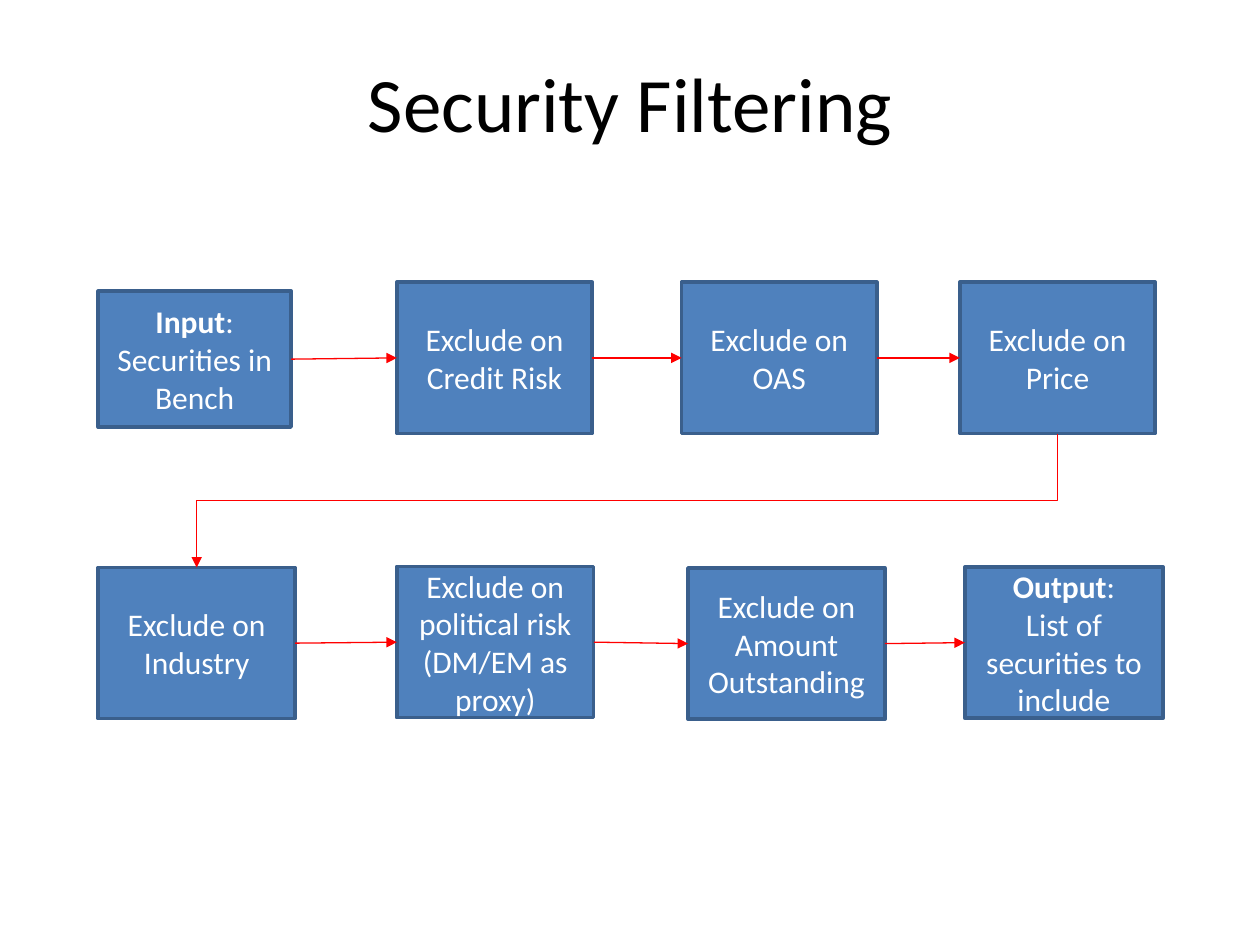
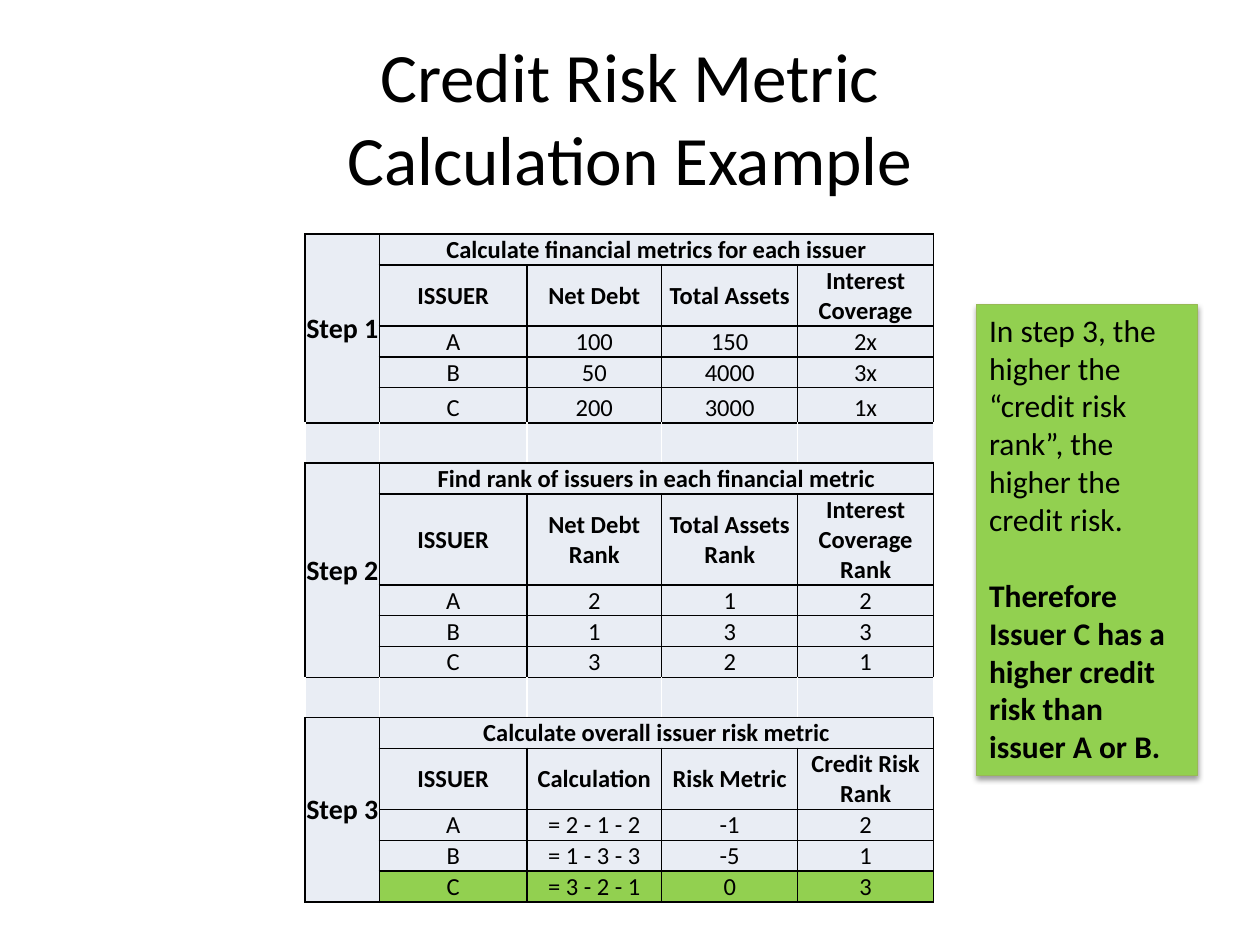
from lxml import etree
from pptx import Presentation
from pptx.dml.color import RGBColor
from pptx.enum import shapes, text
from pptx.oxml import ns
from pptx.util import Cm, Pt

FONT = "Calibri"
BLACK, WHITE, RED = "000000", "FFFFFF", "FF0000"
BLUE, NAVY, PALE = "4F81BD", "3A5F8C", "E9EDF4"
GREEN, MOSS = "92D050", "98B955"
MID = text.MSO_ANCHOR.MIDDLE
LOW = text.MSO_ANCHOR.BOTTOM
MAIN = text.PP_ALIGN.CENTER
LEFT = text.PP_ALIGN.LEFT

TOP = [
    (1.98, 5.87, 3.89, 2.74, [[("Input", True), (":", False)],
                              [("Securities in Bench", False)]]),
    (8, 5.69, 3.94, 3.05, [[("Exclude on Credit Risk", False)]]),
    (13.74, 5.69, 3.94, 3.05, [[("Exclude on OAS", False)]]),
    (19.35, 5.69, 3.94, 3.05, [[("Exclude on Price", False)]]),
]
BASE = [
    (1.98, 11.44, 3.97, 3.05, [[("Exclude on Industry", False)]]),
    (8, 11.42, 3.97, 3.05,
     [[("Exclude on political risk (DM/EM as proxy)", False)]]),
    (13.87, 11.45, 3.97, 3.05, [[("Exclude on Amount Outstanding", False)]]),
    (19.45, 11.43, 4, 3.05, [[("Output", True), (":", False)],
                             [("List of securities to include", False)]]),
]
COLS = [1.5, 2.97, 2.72, 2.74, 2.74]
STEPS = [
    ("Step 1", "Calculate financial metrics for each issuer",
     ["ISSUER", "Net Debt", "Total Assets", "Interest Coverage"],
     [["A", "100", "150", "2x"], ["B", "50", "4000", "3x"],
      ["C", "200", "3000", "1x"]],
     [0.62, 1.23, 0.62, 0.62, 0.71]),
    ("Step 2", "Find rank of issuers in each financial metric",
     ["ISSUER", "Net Debt Rank", "Total Assets Rank",
      "Interest Coverage Rank"],
     [["A", "2", "1", "2"], ["B", "1", "3", "3"], ["C", "3", "2", "1"]],
     [0.62, 1.83, 0.62, 0.62, 0.62]),
    ("Step 3", "Calculate overall issuer risk metric",
     ["ISSUER", "Calculation", "Risk Metric", "Credit Risk Rank"],
     [["A", "= 2 - 1 - 2", "-1", "2"], ["B", "= 1 - 3 - 3", "-5", "1"],
      ["C", "= 3 - 2 - 1", "0", "3"]],
     [0.62, 1.23, 0.62, 0.62, 0.62]),
]
GAP = 0.81


def tint(code):
    """Turn a hex string into a colour."""
    return RGBColor.from_string(code)


def put(item, **vals):
    """Set the given format values on an item."""
    for name, val in vals.items():
        setattr(item, name, val)


def node(root, tag, **vals):
    """Add an XML child with attributes and return it."""
    return etree.SubElement(root, ns.qn(tag), vals)


def write(frame, paras, size, code, align, gap=0):
    """Fill a text frame with paragraphs of (text, bold) runs."""
    for i, runs in enumerate(paras):
        para = frame.add_paragraph() if i else frame.paragraphs[0]
        put(para, alignment=align, space_before=Pt(gap if i else 0))
        for words, bold in runs:
            run = para.add_run()
            run.text = words
            put(run.font, name=FONT, size=Pt(size), bold=bold)
            run.font.color.rgb = tint(code)


def page(deck, words, size, x, y, wide):
    """Add a slide with a centred title."""
    slide = deck.slides.add_slide(deck.slide_layouts[5])
    head = slide.shapes.title
    put(head, left=Cm(x), top=Cm(y), width=Cm(wide), height=Cm(3.18))
    head.text_frame.text = words
    put(head.text_frame, auto_size=text.MSO_AUTO_SIZE.NONE,
        vertical_anchor=MID)
    para = head.text_frame.paragraphs[0]
    para.alignment = MAIN
    put(para.font, name=FONT, size=Pt(size))
    for run in para.runs:
        put(run.font, name=FONT, size=Pt(size))
        run.font.color.rgb = tint(BLACK)
    return slide


def rect(slide, x, y, wide, tall, fill, edge, thick):
    """Add a plain rectangle without a shadow."""
    box = slide.shapes.add_shape(shapes.MSO_SHAPE.RECTANGLE,
                                 Cm(x), Cm(y), Cm(wide), Cm(tall))
    box.shadow.inherit = False
    box.fill.solid()
    box.fill.fore_color.rgb = tint(fill)
    box.line.color.rgb = tint(edge)
    box.line.width = Pt(thick)
    box.text_frame.word_wrap = True
    return box


def stage(slide, x, y, wide, tall, paras):
    """Add one stage of the filter flow."""
    box = rect(slide, x, y, wide, tall, BLUE, NAVY, 2)
    box.text_frame.vertical_anchor = MID
    write(box.text_frame, paras, 18, WHITE, MAIN)
    return box


def arrow(slide, kind, start, out, end, into):
    """Join two boxes at the given sites with a red arrow."""
    line = slide.shapes.add_connector(kind, 0, 0, 0, 0)
    line.begin_connect(start, out)
    line.end_connect(end, into)
    line.line.color.rgb = tint(RED)
    line.line.width = Pt(0.75)
    node(line.line._get_or_add_ln(), "a:tailEnd", type="triangle")
    node(line._element.spPr, "a:effectLst")
    return line


def turn(line):
    """Rotate an elbow so that it leaves its box downwards."""
    x, y, wide, tall = line.left, line.top, line.width, line.height
    put(line, left=x + (wide - tall) // 2, top=y + (tall - wide) // 2,
        width=tall, height=wide)
    frame = line._element.spPr.xfrm
    put(frame, flipH=False, rot=90.0)


def flow(slide):
    """Draw both rows of stages and their arrows."""
    rows = [[stage(slide, *item) for item in row] for row in (TOP, BASE)]
    kind = shapes.MSO_CONNECTOR
    for row in rows:
        for start, end in zip(row, row[1:]):
            arrow(slide, kind.STRAIGHT, start, 3, end, 1)
    turn(arrow(slide, kind.ELBOW, rows[0][-1], 2, rows[1][0], 0))


def style(cell, fill, sides):
    """Give a cell its margins, borders and fill."""
    put(cell, margin_left=Cm(0.02), margin_right=Cm(0.02),
        margin_top=Cm(0.02), margin_bottom=0)
    prop = cell._tc.get_or_add_tcPr()
    for side in "LRTB":
        edge = node(prop, "a:ln" + side, w=str(Pt(1)))
        paint = node(edge, "a:solidFill")
        node(paint, "a:srgbClr", val=sides if side in "LR" else BLACK)
    cell.fill.solid()
    cell.fill.fore_color.rgb = tint(fill)


def label(cell, words, size, bold, anchor):
    """Write centred text into a cell."""
    cell.vertical_anchor = anchor
    write(cell.text_frame, [[(words, bold)]], size, BLACK, MAIN)


def block(grid, top, name, title, heads, rows):
    """Fill the five table rows of one step."""
    grid.cell(top, 0).merge(grid.cell(top + 4, 0))
    grid.cell(top, 1).merge(grid.cell(top, 4))
    label(grid.cell(top, 0), name, 16, True, MID)
    label(grid.cell(top, 1), title, 14, True, LOW)
    for r, row in enumerate([heads] + rows, top + 1):
        first = r == top + 1
        for c, words in enumerate(row, 1):
            label(grid.cell(r, c), words, 14, first, MID if first else LOW)


def table(slide):
    """Add the table of the three calculation steps."""
    highs = []
    for step in STEPS:
        highs += ([GAP] if highs else []) + step[-1]
    frame = slide.shapes.add_table(len(highs), len(COLS), Cm(6.15), Cm(4.72),
                                   Cm(sum(COLS)), Cm(sum(highs)))
    grid = frame.table
    put(grid, first_row=False, horz_banding=False)
    for col, wide in zip(grid.columns, COLS):
        col.width = Cm(wide)
    last = len(highs) - 1
    for r, high in enumerate(highs):
        grid.rows[r].height = Cm(high)
        for c in range(len(COLS)):
            fill = GREEN if r == last and c else PALE
            style(grid.cell(r, c), fill, WHITE if r % 6 == 5 else BLACK)
    for i, step in enumerate(STEPS):
        block(grid, i * 6, *step[:-1])


def note(slide):
    """Add the green remark with its soft shadow."""
    box = rect(slide, 19.69, 6.14, 4.45, 9.5, GREEN, MOSS, 0.75)
    box.text_frame.vertical_anchor = text.MSO_ANCHOR.TOP
    write(box.text_frame, [
        [("In step 3, the higher the “credit risk rank”, the higher the "
          "credit risk.", False)],
        [("Therefore Issuer C has a higher credit risk than issuer A or B.",
          True)],
    ], 18, BLACK, LEFT, 22)
    glow = node(box._element.spPr.find(ns.qn("a:effectLst")), "a:outerShdw",
                blurRad=str(Pt(3.1)), dist=str(Pt(1.6)), dir="5400000",
                rotWithShape="0")
    shade = node(glow, "a:srgbClr", val=BLACK)
    node(shade, "a:alpha", val="38000")


def main():
    """Build and save the deck."""
    deck = Presentation()
    put(deck, slide_width=Cm(25.4), slide_height=Cm(19.05))
    flow(page(deck, "Security Filtering", 44, 1.98, 0.46, 21.46))
    slide = page(deck, "Credit Risk Metric\vCalculation Example", 39.6,
                 1.27, 0.76, 22.86)
    table(slide)
    note(slide)
    deck.save("out.pptx")


main()
